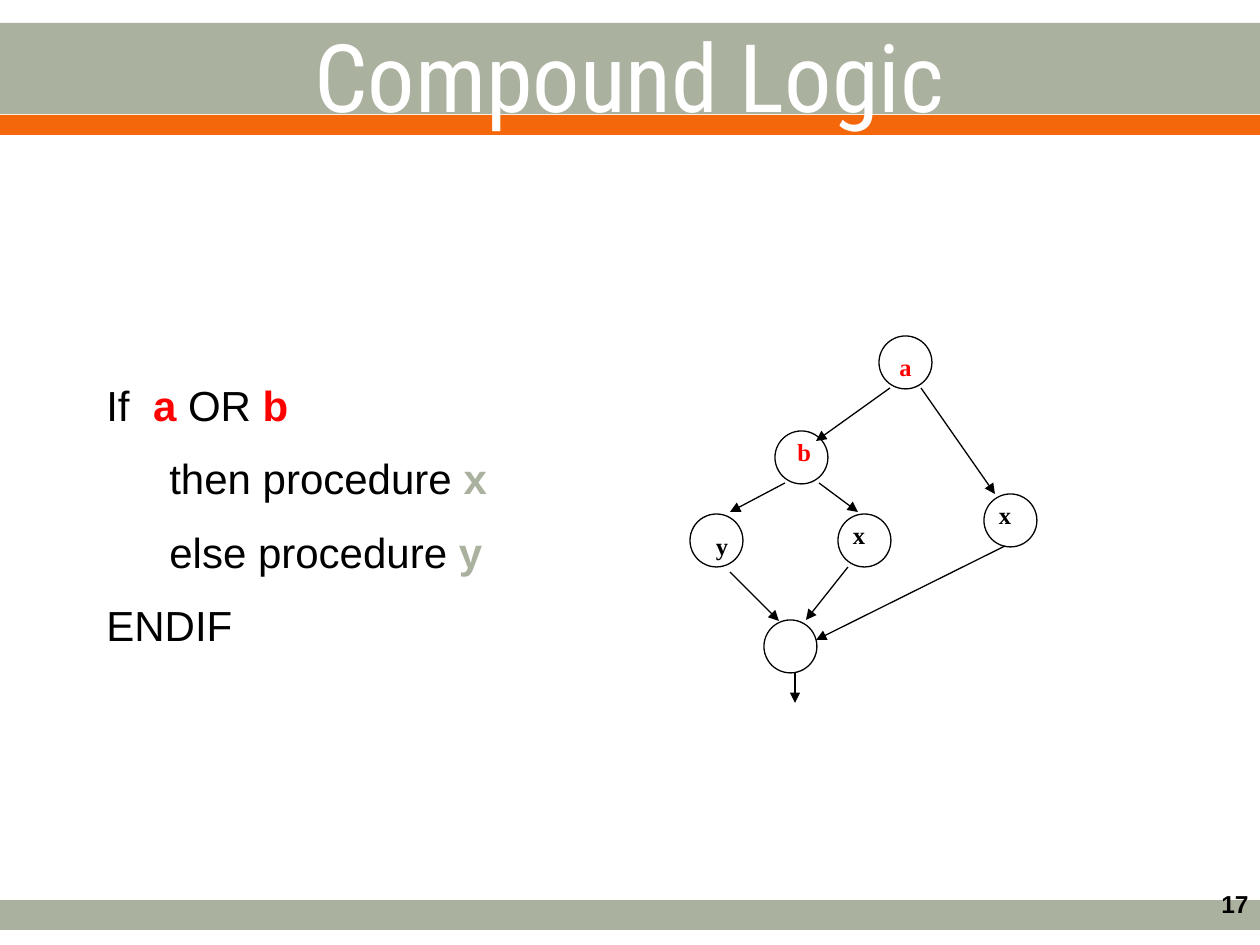
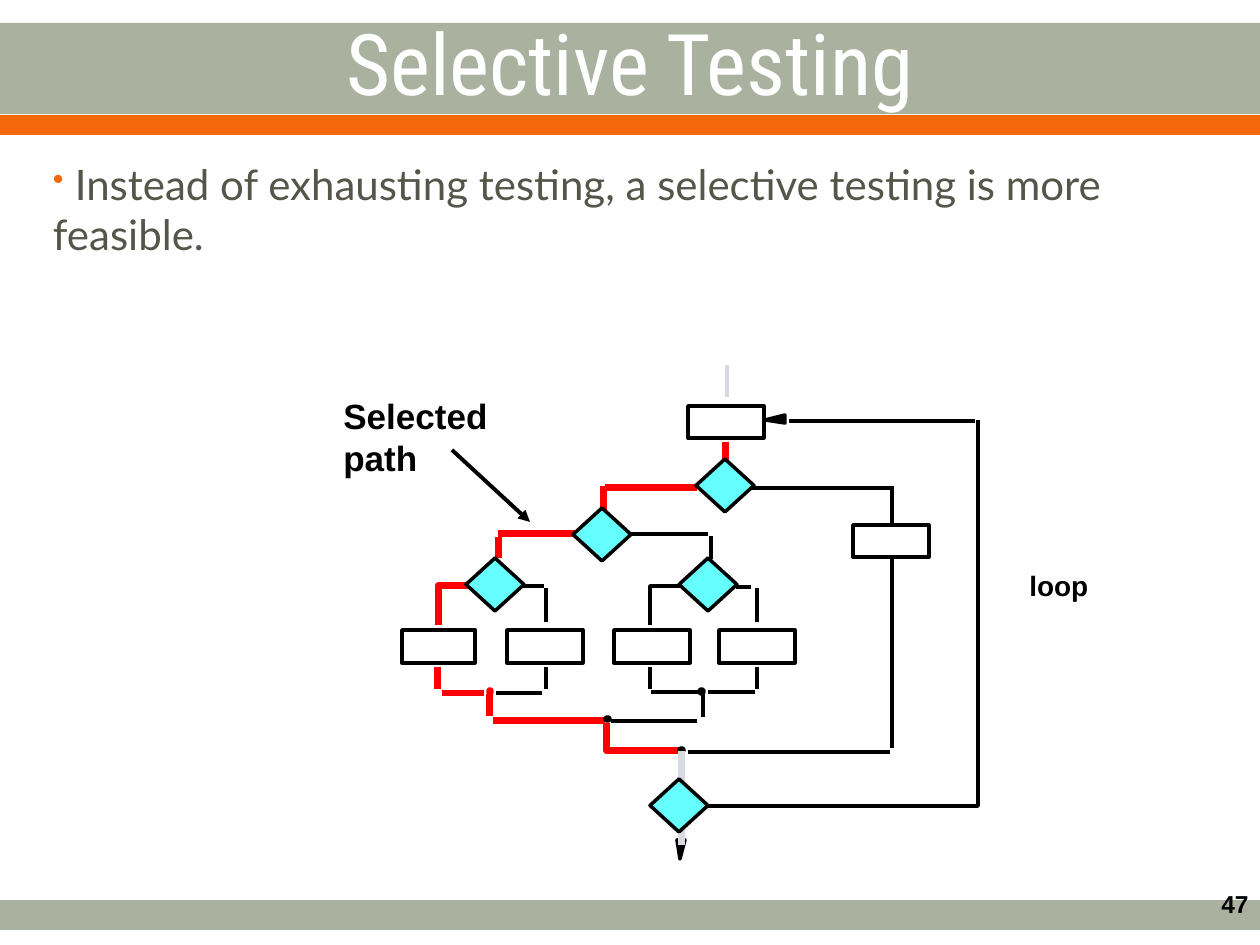
from dataclasses import dataclass
from pptx import Presentation
from pptx.dml.color import RGBColor
from pptx.enum.shapes import MSO_CONNECTOR as Connector, MSO_SHAPE as Shape
from pptx.enum.text import MSO_ANCHOR as Anchor, MSO_AUTO_SIZE as AutoSize, PP_ALIGN as Align
from pptx.oxml.ns import qn
from pptx.oxml.xmlchemy import OxmlElement
from pptx.util import Emu, Pt

SCALE = 914400 / 126
WIDTH, HEIGHT = 1260, 945


@dataclass(frozen=True)
class Theme:
    sage: str = "ABB19F"
    orange: str = "F4680B"
    white: str = "FFFFFF"
    black: str = "000000"
    red: str = "FF0000"
    aqua: str = "66FFFF"
    mist: str = "D7DAE1"
    olive: str = "55554A"
    title_font: str = "Roboto Condensed"
    body_font: str = "Lato"
    sans: str = "Arial"
    serif: str = "Times New Roman"
    body_size: float = 24
    callout_size: float = 20
    loop_size: float = 16
    small_size: float = 14
    thin: float = 0.75
    normal: float = 2
    pointer: float = 2.25
    thick: float = 4


THEME = Theme()


def px(length):
    return Emu(round(length * SCALE))


def rgb(color):
    return RGBColor.from_string(color)


def add_run(paragraph, text, size, font, color=THEME.black, bold=False):
    run = paragraph.add_run()
    run.text = text
    run.font.size = Pt(size)
    run.font.name = font
    run.font.bold = bold
    run.font.color.rgb = rgb(color)


def paint(shape, fill=None, line=None, weight=THEME.normal):
    shape.shadow.inherit = False
    if fill:
        shape.fill.solid()
        shape.fill.fore_color.rgb = rgb(fill)
    else:
        shape.fill.background()
    if line:
        shape.line.color.rgb = rgb(line)
        shape.line.width = Pt(weight)
    else:
        shape.line.fill.background()


def add_figure(slide, kind, box, fill=None, line=None, weight=THEME.normal):
    figure = slide.shapes.add_shape(kind, *map(px, box))
    paint(figure, fill, line, weight)
    return figure


def add_line(slide, start, end, color=THEME.black, weight=THEME.normal, arrow=False):
    line = slide.shapes.add_connector(Connector.STRAIGHT, *map(px, (*start, *end)))
    line.line.color.rgb = rgb(color)
    line.line.width = Pt(weight)
    properties = line.element.spPr
    if arrow:
        head = OxmlElement("a:tailEnd")
        head.set("type", "triangle")
        properties.find(qn("a:ln")).append(head)
    properties.append(OxmlElement("a:effectLst"))


def add_outline(slide, points, color=THEME.black, weight=THEME.normal, fill=None):
    builder = slide.shapes.build_freeform(*points[0], scale=SCALE)
    builder.add_line_segments(points[1:], close=fill is not None)
    paint(builder.convert_to_shape(), fill, color, weight)


def add_route(slide, points, color=THEME.black, weight=THEME.normal):
    if len(points) == 2:
        add_line(slide, *points, color, weight)
    else:
        add_outline(slide, points, color, weight)


def add_text_frame(slide, box, wrap=True):
    frame = slide.shapes.add_textbox(*map(px, box)).text_frame
    frame.word_wrap = wrap
    frame.auto_size = AutoSize.NONE
    return frame


def add_label(slide, box, text, size, font, color=THEME.black, align=Align.LEFT, wrap=True):
    paragraph = add_text_frame(slide, box, wrap).paragraphs[0]
    paragraph.alignment = align
    add_run(paragraph, text, size, font, color, bold=True)


def add_bands(slide):
    layout = slide.slide_layout
    bands = [(900, 30, THEME.sage), (23, 91, THEME.sage), (115, 20, THEME.orange)]
    for number, (top, height, color) in enumerate(bands, start=100):
        band = add_figure(slide, Shape.RECTANGLE, (0, top, WIDTH, height), color)
        band.element.xpath("./p:nvSpPr/p:cNvPr")[0].set("id", str(number))
        layout.shapes.element.append(band.element)


def start_slide(deck, title, title_box, title_size, number):
    slide = deck.slides.add_slide(deck.slide_layouts[5])
    heading = slide.shapes.title
    heading.left, heading.top, heading.width, heading.height = map(px, title_box)
    frame = heading.text_frame
    frame.auto_size = AutoSize.NONE
    frame.vertical_anchor = Anchor.MIDDLE
    frame.paragraphs[0].alignment = Align.CENTER
    add_run(frame.paragraphs[0], title, title_size, THEME.title_font, THEME.white)
    add_label(slide, (968, 883, 293, 66), number, THEME.small_size, THEME.sans, align=Align.RIGHT)
    return slide


def add_pseudocode(slide):
    lines = [
        [("If  ", None), ("a", THEME.red), (" OR ", None), ("b", THEME.red)],
        [("\tthen procedure ", None), ("x", THEME.sage)],
        [("\telse procedure ", None), ("y", THEME.sage)],
        [("ENDIF", None)],
    ]
    frame = add_text_frame(slide, (94, 373, 503, 290))
    for index, pieces in enumerate(lines):
        paragraph = frame.add_paragraph() if index else frame.paragraphs[0]
        if index:
            paragraph.space_before = Pt(13.2)
        for text, accent in pieces:
            add_run(paragraph, text, THEME.body_size, THEME.sans,
                    accent or THEME.black, bool(accent))


def add_logic_graph(slide):
    node_size = 53
    nodes = [(879, 336), (775, 431), (690, 514), (838, 514), (984, 494), (764, 620)]
    for left, top in nodes:
        add_figure(slide, Shape.FLOWCHART_CONNECTOR, (left, top, node_size, node_size),
                   line=THEME.black, weight=THEME.thin)
    edges = [
        ((890, 388), (816, 441)), ((921, 388), (995, 494)),
        ((785, 483), (730, 512)), ((819, 483), (858, 512)),
        ((730, 572), (779, 621)), ((848, 567), (806, 620)),
        ((1005, 546), (816, 640)), ((795, 672), (795, 703)),
    ]
    for start, end in edges:
        add_line(slide, start, end, weight=THEME.thin, arrow=True)
    labels = [
        ("a", (879, 346, 53, 42), THEME.red, Align.CENTER),
        ("b", (785, 431, 42, 42), THEME.red, Align.LEFT),
        ("y", (701, 525, 42, 42), THEME.black, Align.CENTER),
        ("x", (838, 514, 42, 42), THEME.black, Align.CENTER),
        ("x", (984, 494, 42, 42), THEME.black, Align.CENTER),
    ]
    for text, box, color, align in labels:
        add_label(slide, box, text, THEME.small_size, THEME.serif, color, align)


def add_bullet(slide, box, text):
    frame = add_text_frame(slide, box)
    frame.margin_left = frame.margin_right = frame.margin_top = frame.margin_bottom = 0
    paragraph = frame.paragraphs[0]
    add_run(paragraph, text, THEME.body_size, THEME.body_font, THEME.olive)
    properties = paragraph._p.get_or_add_pPr()
    color = OxmlElement("a:buClr")
    value = OxmlElement("a:srgbClr")
    value.set("val", THEME.orange)
    color.append(value)
    size = OxmlElement("a:buSzPct")
    size.set("val", "75000")
    mark = OxmlElement("a:buChar")
    mark.set("char", "•")
    for part in (color, size, mark):
        properties.append(part)


def add_flow_routes(slide):
    plain_routes = [
        [(751, 488), (890, 488)], [(892, 523), (892, 486)],
        [(629, 534), (708, 534)], [(711, 536), (711, 559)],
        [(520, 586), (544, 586)], [(546, 588), (546, 622)],
        [(682, 586), (650, 586), (650, 625)],
        [(736, 587), (751, 587)], [(757, 588), (757, 622)],
        [(496, 693), (542, 693)], [(651, 692), (704, 692)], [(708, 692), (755, 692)],
        [(703, 693), (703, 717)], [(697, 721), (611, 721)],
        [(892, 559), (892, 748)], [(688, 752), (890, 752)],
        [(706, 806), (978, 806), (978, 420)], [(789, 421), (975, 421)],
    ]
    plain_routes += [[(x, 667), (x, 689)] for x in (546, 650, 757)]
    selected_routes = [
        [(726, 442), (726, 460)],
        [(697, 488), (605, 488)], [(604, 512), (604, 486)],
        [(580, 534), (498, 534)], [(499, 537), (499, 558)],
        [(470, 586), (438, 586), (438, 625)],
        [(438, 667), (438, 689)], [(442, 693), (484, 693)],
        [(490, 694), (490, 716)], [(493, 721), (605, 721)],
        [(607, 723), (607, 751), (682, 751)],
    ]
    for route in plain_routes:
        add_route(slide, route)
    for route in selected_routes:
        add_route(slide, route, THEME.red, THEME.thick)
    for arrowhead in ([(765, 420), (785, 415), (785, 423)],
                      [(680, 859), (677, 840), (685, 840)]):
        add_outline(slide, arrowhead, fill=THEME.black)


def add_flow_nodes(slide):
    steps = [(688, 406, 76, 32), (853, 525, 76, 32), (402, 630, 73, 33)]
    steps += [(left, 630, 76, 33) for left in (507, 614, 719)]
    for box in steps:
        add_figure(slide, Shape.RECTANGLE, box, line=THEME.black)
    joins = [(699, 689, 5, 5, THEME.black), (488, 689, 4, 5, THEME.red),
             (605, 717, 5, 4, THEME.black), (679, 748, 5, 4, THEME.black)]
    for *box, color in joins:
        add_figure(slide, Shape.OVAL, box, THEME.black, color)
    add_line(slide, (727, 365), (727, 397), THEME.mist)
    for top, bottom in ((751, 782), (829, 845)):
        add_line(slide, (682, top), (682, bottom), THEME.mist, THEME.thick)
    for left, top in ((696, 459), (573, 508), (466, 558), (679, 558), (650, 779)):
        add_figure(slide, Shape.DIAMOND, (left, top, 58, 53), THEME.aqua, THEME.black)


def build_compound_logic(deck):
    slide = start_slide(deck, "Compound Logic", (94, -4, 1071, 158), 54, "17")
    add_bands(slide)
    add_logic_graph(slide)
    add_pseudocode(slide)


def build_selective_testing(deck):
    slide = start_slide(deck, "Selective Testing", (0, 35, WIDTH, 52), 48.6, "47")
    add_bullet(slide, (53, 158, 1166, 107),
               " Instead of exhausting testing, a selective testing is more feasible.")
    add_flow_routes(slide)
    add_flow_nodes(slide)
    add_label(slide, (331, 388, 240, 54), "Selected path", THEME.callout_size, THEME.sans)
    add_line(slide, (452, 450), (530, 522), weight=THEME.pointer, arrow=True)
    add_label(slide, (1017, 562, 84, 45), "loop", THEME.loop_size, THEME.sans, wrap=False)


def main():
    deck = Presentation()
    deck.slide_width, deck.slide_height = px(WIDTH), px(HEIGHT)
    build_compound_logic(deck)
    build_selective_testing(deck)
    deck.save("out.pptx")


main()
